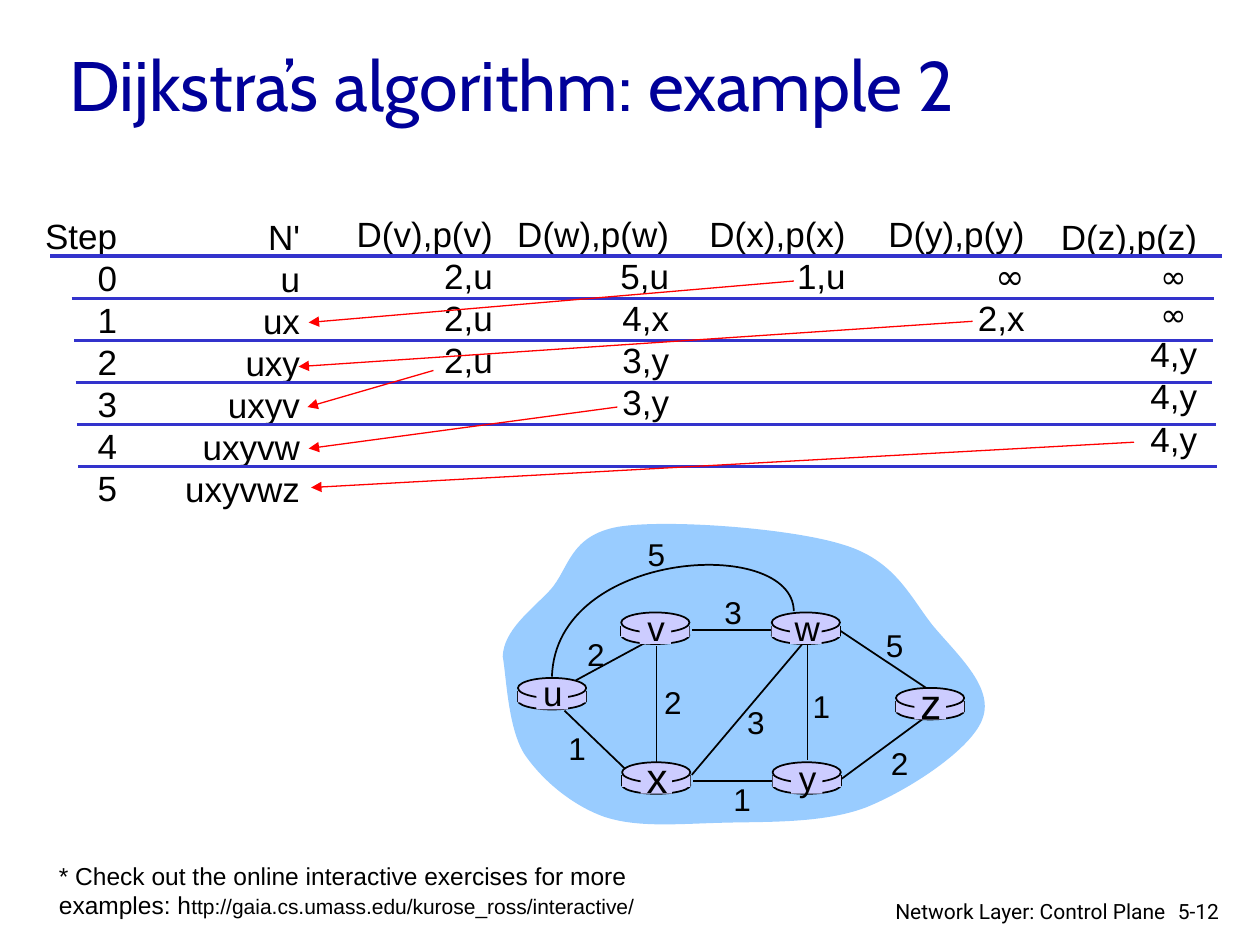
from lxml import etree
from pptx import Presentation
from pptx.dml.color import RGBColor
from pptx.enum import shapes as kinds, text as txt
from pptx.oxml import ns
from pptx.util import Pt

COLORS = {"title": "000099", "ink": "000000", "rule": "3333CC", "arrow": "FF0000",
          "cloud": "99CCFF", "router": "CCCCFF"}
INSET = 7.2  # left plus right, or top plus bottom, inset of a text box
LEADING = 1.2
ROW = 24

# left, top, width, cells of each column of the step table
COLUMNS = [
    (18.7, 118.8, 55.4, ["Step", "0", "1", "2", "3", "4", "5"]),
    (98.6, 119.5, 80, ["N'", "u", "ux", "uxy", "uxyv", "uxyvw", "uxyvwz"]),
    (194.6, 118.1, 94.2, ["D(v),p(v)", "2,u", "2,u", "2,u"]),
    (283.5, 118.1, 106, ["D(w),p(w)", "5,u", "4,x", "3,y", "3,y"]),
    (396.2, 118.1, 94.2, ["D(x),p(x)", "1,u"]),
    (498.4, 118.1, 94.2, ["D(y),p(y)", "∞", "2,x"]),
    (597, 119.5, 94.2, ["D(z),p(z)", "∞ ", "∞ ", "4,y", "4,y", "4,y"]),
]
RULE_TOP = 146.5
RULE_ENDS = [(28.8, 698.4), (41, 694), (42.5, 693.4), (43.2, 692.6), (44, 694.8), (44.6, 695.5)]
ARROWS = [
    (453.6, 160.6, 176.4, 184.3), (555.8, 183.6, 170.6, 209.5), (247.7, 211.7, 175.7, 232.6),
    (352.8, 232.6, 176.4, 256.3), (648, 252.7, 177.8, 278.6),
]
CLOUD = [
    (287.3, 375.1), (288, 360), (303.1, 349.2), (314.6, 337), (325.4, 324.7), (325.4, 306),
    (353.5, 301), (380.9, 296.6), (450.7, 301.7), (481, 311), (511.2, 319.7), (519.8, 340.6),
    (532.8, 357.1), (546.5, 373.7), (568.1, 392.4), (561.6, 410.4), (555.8, 427.7),
    (519.8, 451.4), (494.6, 461.5), (469.4, 470.9), (436.3, 469.4), (411.1, 470.2),
    (386.6, 470.9), (363.6, 473), (344.9, 466.6), (326.9, 460.1), (309.6, 445.7),
    (299.5, 430.6), (290.2, 415.4), (289.4, 386.6), (287.3, 375.1),
]
LINK_U_W = [(453.6, 349.2), (452.9, 306), (317.5, 313.9), (315.4, 386.6)]
LINKS = [
    (329, 388.8, 371.5, 365.8), (461.5, 368.6, 461.5, 434.2), (375.1, 369.4, 375.1, 437),
    (395.3, 442.8, 458.6, 367.9), (481, 445, 527, 411.1), (442, 446.4, 396, 446.4),
    (357.1, 439.2, 322.6, 406.1), (441.4, 360, 395.3, 360), (529.2, 393.1, 479.5, 360),
]
# name, left, top, size of the letter
ROUTERS = [("u", 296, 387.4, 20), ("x", 355.5, 435.6, 24), ("v", 355, 350, 20),
           ("w", 441, 350, 20), ("y", 441.5, 435.6, 20), ("z", 512, 393.1, 24)]
# cost, centre of its box, top of its box
COSTS = [("2", 340.6, 359.3), ("2", 384.5, 386.6), ("1", 329.8, 413.3), ("3", 432, 398.2),
         ("1", 424.1, 442.1), ("1", 469.4, 388.8), ("2", 514.1, 421.9), ("5", 511.2, 354.2),
         ("3", 419, 335.5), ("5", 375.1, 302.4)]


def color(name):
    return RGBColor.from_string(COLORS[name])


def add_span(para, words, size, face="Arial", ink="ink"):
    span = para.add_run()
    span.text = words
    for key, value in {"size": Pt(size), "name": face}.items():
        setattr(span.font, key, value)
    span.font.color.rgb = color(ink)


def add_text(page, left, top, width, paras, align, wrap=False, leading=True):
    """Add a text box; each paragraph is a list of (words, size, face) spans."""
    height = INSET + sum(LEADING * spans[0][1] for spans in paras)
    box = page.shapes.add_textbox(Pt(left), Pt(top), Pt(width), Pt(height))
    frame = box.text_frame
    frame.word_wrap = wrap
    frame.auto_size = txt.MSO_AUTO_SIZE.SHAPE_TO_FIT_TEXT
    for index, spans in enumerate(paras):
        para = frame.paragraphs[0] if index == 0 else frame.add_paragraph()
        para.alignment = align
        if leading:
            para.line_spacing = Pt(LEADING * spans[0][1])
        for span in spans:
            add_span(para, *span)


def add_line(page, start_x, start_y, end_x, end_y, ink="ink", weight=1, arrow=False):
    line = page.shapes.add_connector(kinds.MSO_CONNECTOR.STRAIGHT,
                                     Pt(start_x), Pt(start_y), Pt(end_x), Pt(end_y))
    line.line.color.rgb = color(ink)
    line.line.width = Pt(weight)
    if arrow:
        etree.SubElement(line.line._get_or_add_ln(), ns.qn("a:tailEnd"), type="triangle")
    etree.SubElement(line._element.spPr, ns.qn("a:effectLst"))


def paint(shape, fill=None, outline=None):
    shape.shadow.inherit = False
    if fill:
        shape.fill.solid()
        shape.fill.fore_color.rgb = color(fill)
    else:
        shape.fill.background()
    if outline:
        shape.line.color.rgb = color(outline)
        shape.line.width = Pt(1)
    else:
        shape.line.fill.background()


def add_shape(page, kind, left, top, width, height, outline=None):
    shape = page.shapes.add_shape(kind, Pt(left), Pt(top), Pt(width), Pt(height))
    paint(shape, "router", outline)


def add_curve(page, points, closed, **look):
    """Add a chain of cubic curves: a start, then two controls and an end for each."""
    points = [(Pt(x), Pt(y)) for x, y in points]
    builder = page.shapes.build_freeform(*points[0])
    builder.add_line_segments(points[1:], close=closed)
    shape = builder.convert_to_shape()
    steps = shape._element.xpath(".//a:lnTo")[:len(points) - 1]
    for first in range(0, len(steps), 3):
        cubic = etree.Element(ns.qn("a:cubicBezTo"))
        steps[first].addprevious(cubic)
        for step in steps[first:first + 3]:
            cubic.append(step[0])
            step.getparent().remove(step)
    paint(shape, **look)


def add_router(page, name, left, top, size):
    oval, rect = kinds.MSO_SHAPE.OVAL, kinds.MSO_SHAPE.RECTANGLE
    width = 39
    add_shape(page, oval, left, top + 8, width, 10, "ink")
    for side in (left, left + width):
        add_line(page, side, top + 7.5, side, top + 13.5)
    add_shape(page, rect, left, top + 7.5, width, 6.5)
    add_shape(page, oval, left, top, width, 11.5, "ink")
    add_shape(page, rect, left + 10.5, top + 1.5, 18, 16.5)
    box_top = top + 8.5 - (LEADING * size + INSET) / 2
    add_text(page, left + 6, box_top, 28, [[(name, size)]], txt.PP_ALIGN.CENTER)


def add_title(page, words):
    title = page.shapes.title
    frame = {"left": 32.4, "top": 10, "width": 658.8, "height": 75.6}
    for key, value in frame.items():
        setattr(title, key, Pt(value))
    title.text_frame.vertical_anchor = txt.MSO_ANCHOR.MIDDLE
    para = title.text_frame.paragraphs[0]
    para.alignment = txt.PP_ALIGN.LEFT
    add_span(para, words, 40, "Cabin", "title")


def add_steps(page):
    for left, top, width, cells in COLUMNS:
        paras = []
        for cell in cells:
            size = 18 if cell == "∞ " else 20
            paras.append([(cell, size, "Comic Neue" if "∞" in cell else "Arial")])
        add_text(page, left, top, width, paras, txt.PP_ALIGN.RIGHT)
    for row, (start, end) in enumerate(RULE_ENDS):
        y = RULE_TOP + row * ROW
        add_line(page, start, y, end, y, "rule", 1.5 if row else 2.25)


def add_network(page):
    add_curve(page, CLOUD, closed=True, fill="cloud")
    for link in LINKS:
        add_line(page, *link)
    add_curve(page, LINK_U_W, closed=False, outline="ink")
    for router in ROUTERS:
        add_router(page, *router)
    for cost, center, top in COSTS:
        add_text(page, center - 12.25, top, 24.5, [[(cost, 18)]], txt.PP_ALIGN.CENTER)


def add_footer(page):
    left, right = txt.PP_ALIGN.LEFT, txt.PP_ALIGN.RIGHT
    add_text(page, 666, 509.8, 43.2, [[("5-12", 12, "Roboto")]], left, True, False)
    add_text(page, 501.8, 509.8, 171.4, [[("Network Layer: Control Plane", 12, "Roboto")]],
             right, True, False)
    note = [("* Check out the online interactive exercises for more examples: h", 14),
            ("ttp://gaia.cs.umass.edu/kurose_ross/interactive/", 12)]
    add_text(page, 26.6, 488.2, 355, [note], left, True)


def main():
    deck = Presentation()
    deck.slide_width, deck.slide_height = Pt(720), Pt(540)
    page = deck.slides.add_slide(deck.slide_layouts[5])
    add_title(page, "Dijkstra’s algorithm: example 2")
    add_steps(page)
    add_network(page)
    for arrow in ARROWS:
        add_line(page, *arrow, "arrow", 0.75, arrow=True)
    add_footer(page)
    deck.save("out.pptx")


if __name__ == "__main__":
    main()
